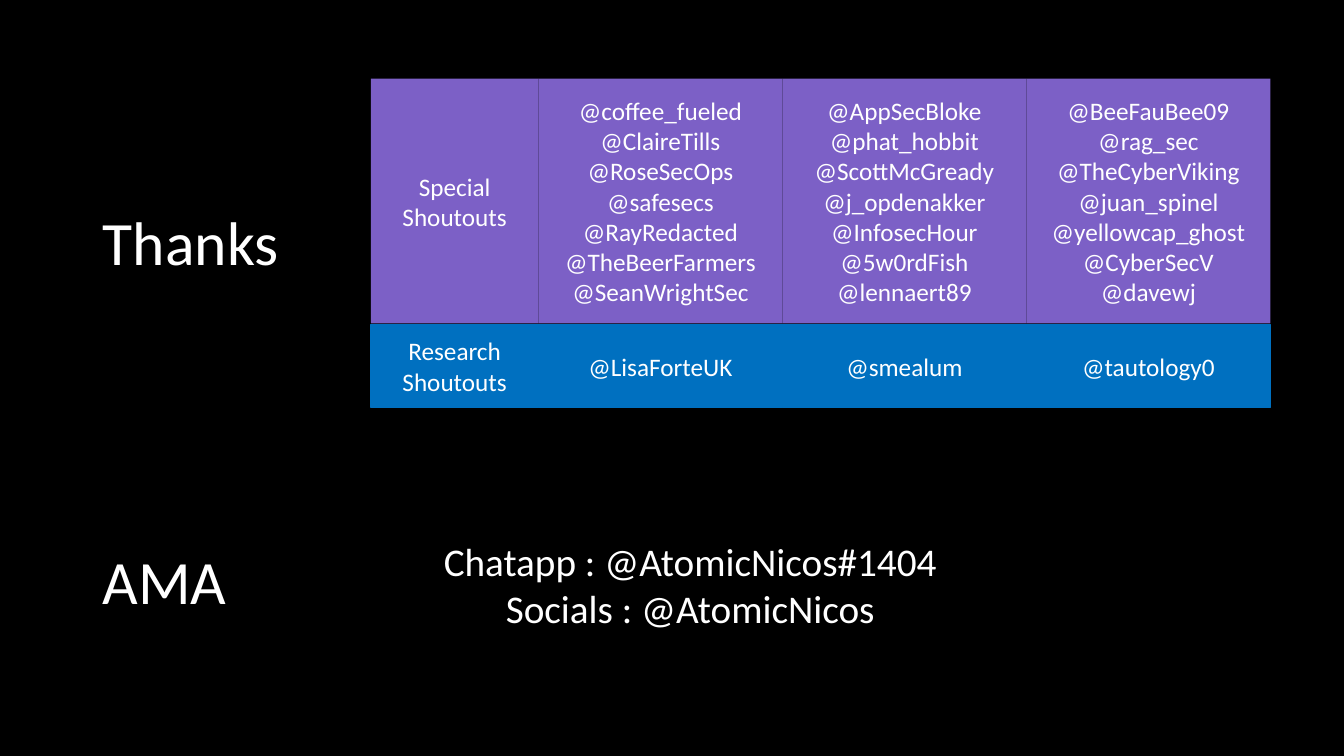
import pptx
import pptx.util
import pptx.dml.color
import pptx.enum.shapes
import pptx.enum.text

Inches, Pt = pptx.util.Inches, pptx.util.Pt
RGB = pptx.dml.color.RGBColor.from_string
ALIGN = pptx.enum.text.PP_ALIGN
ANCHOR = pptx.enum.text.MSO_ANCHOR

COLORS = {"back": "000000", "text": "FFFFFF", "special": "7C60C6", "research": "0070C0"}
COL_X = [3.68, 5.34, 7.76, 10.18, 12.6]
ROWS = [
    ("special", 0.78, 2.43, [
        "Special Shoutouts",
        "@coffee_fueled\n@ClaireTills\n@RoseSecOps\n@safesecs\n"
        "@RayRedacted\n@TheBeerFarmers\n@SeanWrightSec",
        "@AppSecBloke\n@phat_hobbit\n@ScottMcGready\n@j_opdenakker\n"
        "@InfosecHour\n@5w0rdFish\n@lennaert89",
        "@BeeFauBee09\n@rag_sec\n@TheCyberViking\n@juan_spinel\n"
        "@yellowcap_ghost\n@CyberSecV\n@davewj",
    ]),
    ("research", 3.22, 0.82, [
        "Research\nShoutouts", "@LisaForteUK", "@smealum", "@tautology0",
    ]),
]


def write(sp, text, size, align, anchor=ANCHOR.MIDDLE, spacing=None):
    """Fill a shape with white text, one paragraph per line."""
    tf = sp.text_frame
    tf.text = text
    tf.word_wrap = True
    tf.vertical_anchor = anchor
    for p in tf.paragraphs:
        p.alignment = align
        p.line_spacing = spacing
        for r in p.runs:
            r.font.name = "Calibri"
            r.font.size = Pt(size)
            r.font.color.rgb = RGB(COLORS["text"])


prs = pptx.Presentation()
prs.slide_width, prs.slide_height = Inches(13.33), Inches(7.5)
s = prs.slides.add_slide(prs.slide_layouts[5])
s.background.fill.solid()
s.background.fill.fore_color.rgb = RGB(COLORS["back"])

# Headings on the left
title = s.shapes.title
title.left, title.top, title.width, title.height = map(Inches, (0.92, 1.71, 2.42, 1.45))
ama = s.shapes.add_textbox(*map(Inches, (0.92, 5.07, 1.68, 1.45)))
for sp, text in ((title, "Thanks"), (ama, "AMA")):
    write(sp, text, 44, ALIGN.LEFT, spacing=0.9)

# Shoutouts: one group of boxes per row
for kind, top, height, texts in ROWS:
    group = s.shapes.add_group_shape()
    for left, right, text in zip(COL_X, COL_X[1:], texts):
        sp = group.shapes.add_shape(
            pptx.enum.shapes.MSO_SHAPE.RECTANGLE,
            *map(Inches, (left, top, right - left, height)))
        sp.shadow.inherit = False
        sp.fill.solid()
        sp.fill.fore_color.rgb = RGB(COLORS[kind])
        if kind == "research":
            sp.line.color.rgb = RGB(COLORS[kind])
            sp.line.width = Pt(1)
        else:
            sp.line.fill.background()
        write(sp, text, 18, ALIGN.CENTER)

# Contact details
contact = s.shapes.add_textbox(*map(Inches, (3.51, 5.28, 6.67, 1.04)))
write(contact, "Chatapp : @AtomicNicos#1404\nSocials : @AtomicNicos", 28,
      ALIGN.CENTER, ANCHOR.TOP)
contact.text_frame.auto_size = pptx.enum.text.MSO_AUTO_SIZE.SHAPE_TO_FIT_TEXT

prs.save("out.pptx")
